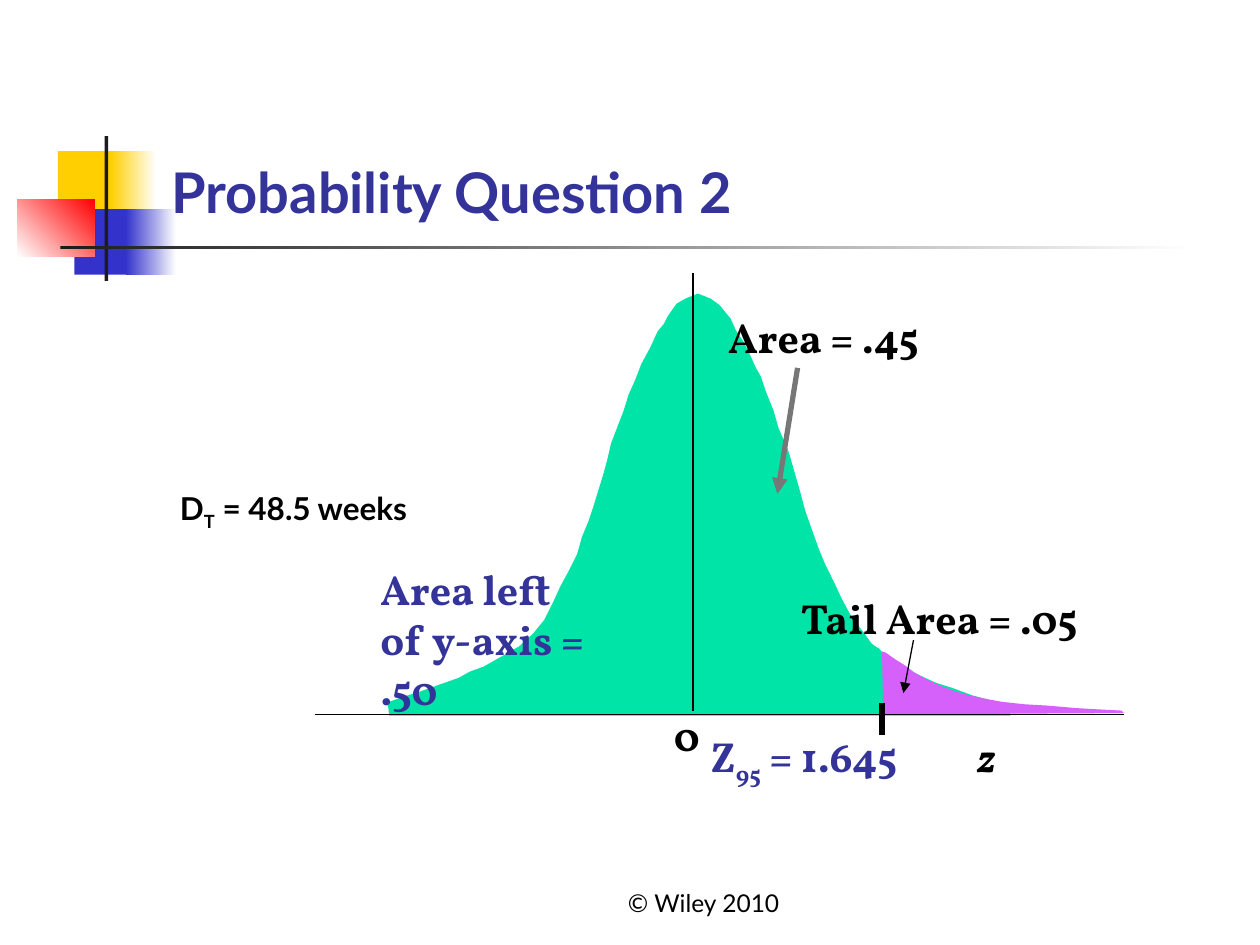
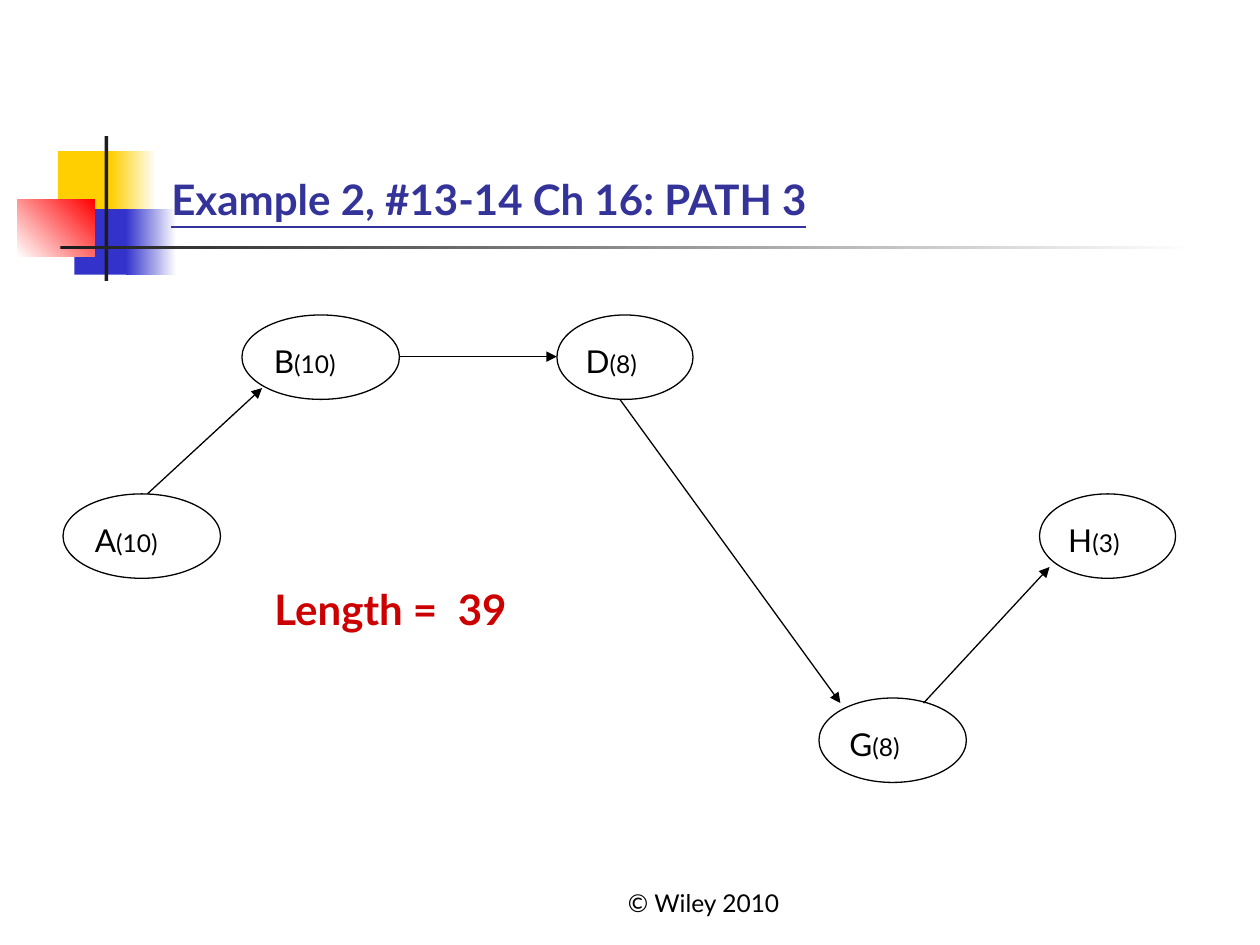
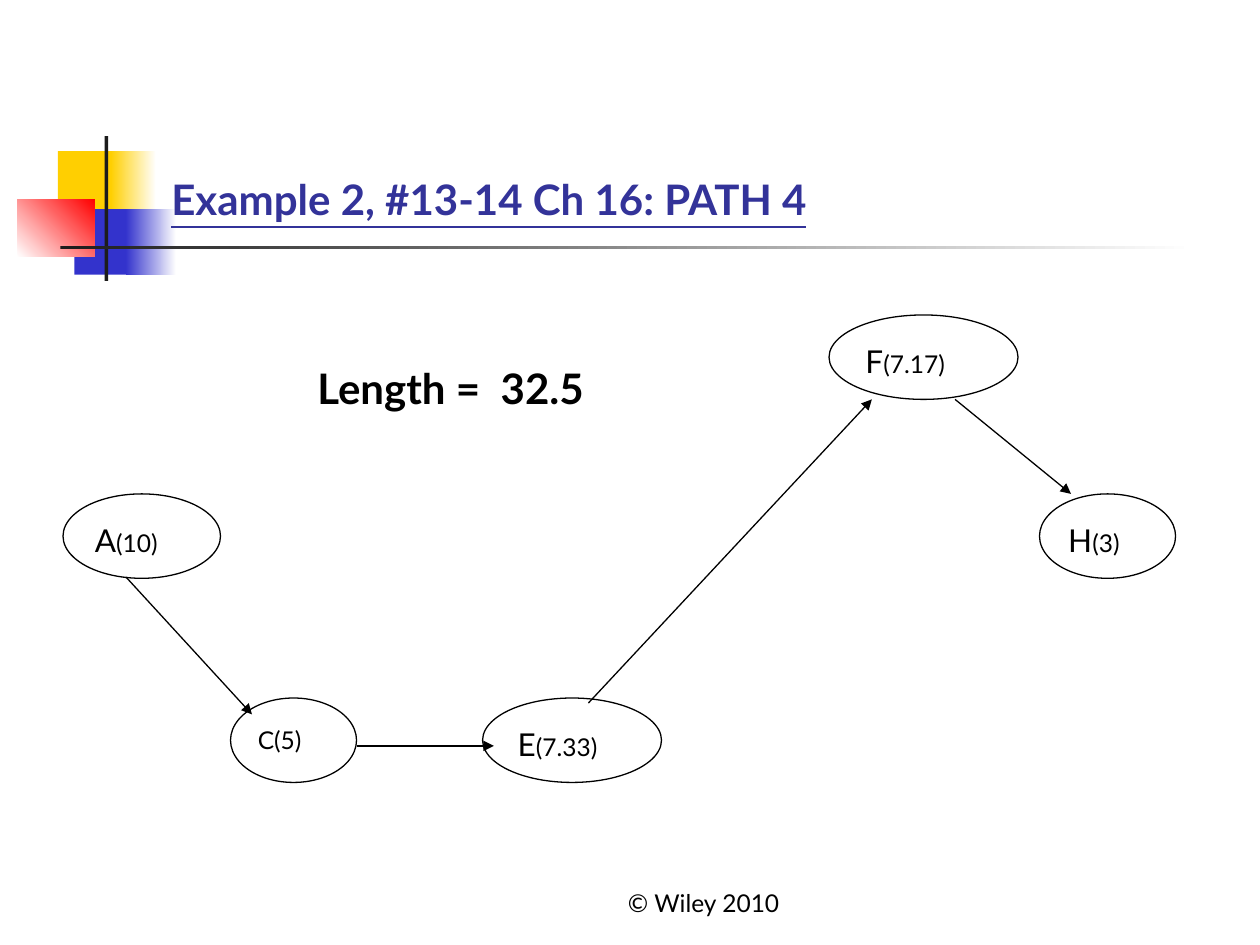
"""Build three slides: a normal curve question and two network paths."""
from dataclasses import dataclass
from typing import NamedTuple, Optional, Sequence, Union

from lxml.etree import SubElement
from pptx import Presentation
from pptx.dml.color import RGBColor
from pptx.enum.shapes import MSO_CONNECTOR, MSO_SHAPE
from pptx.enum.text import MSO_ANCHOR, MSO_AUTO_SIZE, PP_ALIGN
from pptx.oxml.ns import qn
from pptx.slide import Slide, SlideLayout
from pptx.util import Inches, Pt

SANS, SERIF = "Lato", "Vollkorn"
BLACK, WHITE, CHARCOAL, GREY = "000000", "FFFFFF", "1C1C1C", "777777"
NAVY, BLUE, YELLOW, RED, DARK_RED = "333399", "3333CC", "FFCF01", "FF0000", "CC0000"
GREEN, VIOLET = "00E4A8", "D560FA"
TOP_ROW, MIDDLE_ROW, BOTTOM_ROW = 2.5, 3.92, 5.54
NODE_HEIGHT = 0.67


class Point(NamedTuple):
    """A place on the slide in inches."""
    x: float
    y: float


class Box(NamedTuple):
    """A frame on the slide in inches."""
    left: float
    top: float
    width: float
    height: float


class Span(NamedTuple):
    """A stretch of text with its own size or baseline."""
    text: str
    size: Optional[float] = None
    subscript: bool = False


class Band(NamedTuple):
    """A decoration block with one colour or a gradient."""
    box: Box
    color: str
    end_color: Optional[str] = None
    angle: float = 0


class Line(NamedTuple):
    """A straight line, with an arrowhead at its end if wanted."""
    start: Point
    end: Point
    color: str = BLACK
    width: float = 0.75
    arrow: bool = False


class Node(NamedTuple):
    """An activity of the network."""
    name: str
    duration: str
    left: float
    top: float
    width: float
    name_size: float = 18


class CurveLabel(NamedTuple):
    """A label of the curve diagram."""
    box: Box
    text: Union[str, Sequence[Span]]
    color: str = BLACK
    italic: bool = False
    align: PP_ALIGN = PP_ALIGN.LEFT


@dataclass(frozen=True)
class NetworkPath:
    """One path slide: its nodes, arrows and total length."""
    title: str
    nodes: Sequence[Node]
    arrows: Sequence[tuple[Point, Point]]
    length: str
    length_at: Point
    length_color: str


BANDS = (
    Band(Box(0.46, 1.2, 0.48, 0.52), YELLOW),
    Band(Box(0.88, 1.2, 0.36, 0.52), YELLOW, WHITE),
    Band(Box(0.59, 1.66, 0.46, 0.52), BLUE),
    Band(Box(1, 1.66, 0.4, 0.52), BLUE, WHITE),
    Band(Box(0.14, 1.58, 0.61, 0.46), WHITE, RED, 45),
    Band(Box(0.83, 1.08, 0.03, 1.15), CHARCOAL),
    Band(Box(0.48, 1.95, 9, 0.03), CHARCOAL, WHITE),
)

BELL_OUTLINE = (
    (5.54, 2.33), (5.44, 2.37), (5.37, 2.41), (5.3, 2.51), (5.27, 2.57), (5.22, 2.63),
    (5.16, 2.76), (5.09, 2.89), (5.04, 3.02), (4.99, 3.13), (4.95, 3.26), (4.9, 3.39),
    (4.85, 3.52), (4.82, 3.65), (4.79, 3.76), (4.75, 3.89), (4.71, 4.02), (4.67, 4.14),
    (4.62, 4.26), (4.58, 4.4), (4.51, 4.54), (4.45, 4.65), (4.39, 4.78), (4.32, 4.92),
    (4.23, 5.03), (4.12, 5.13), (4, 5.2), (3.84, 5.29), (3.73, 5.33), (3.64, 5.38),
    (3.47, 5.44), (3.33, 5.49), (3.2, 5.53), (3.09, 5.57), (3.08, 5.6), (3.09, 5.68),
    (8.02, 5.68), (8.01, 5.59), (7.87, 5.56), (7.72, 5.52), (7.56, 5.46), (7.43, 5.42),
    (7.3, 5.36), (7.16, 5.29), (7.09, 5.23), (7.02, 5.2), (6.98, 5.15), (6.92, 5.11),
    (6.84, 5), (6.75, 4.88), (6.68, 4.75), (6.62, 4.62), (6.55, 4.48), (6.5, 4.36),
    (6.45, 4.22), (6.39, 4.05), (6.35, 3.9), (6.31, 3.76), (6.27, 3.62), (6.25, 3.56),
    (6.18, 3.4), (6.14, 3.26), (6.08, 3.11), (6.04, 2.99), (6, 2.92), (5.95, 2.81),
    (5.9, 2.71), (5.84, 2.62), (5.8, 2.53), (5.71, 2.42), (5.64, 2.37), (5.59, 2.35),
)
TAIL_OUTLINE = (
    (7, 5.17), (7.03, 5.18), (7.1, 5.23), (7.18, 5.28), (7.26, 5.34), (7.37, 5.4),
    (7.48, 5.45), (7.59, 5.49), (7.7, 5.52), (7.84, 5.55), (7.95, 5.57), (8.13, 5.59),
    (8.31, 5.6), (8.54, 5.62), (8.71, 5.63), (8.9, 5.64), (8.92, 5.66), (7.01, 5.67),
)
CURVE_LINES = (
    Line(Point(2.5, 5.67), Point(8.92, 5.67), width=1),
    Line(Point(5.5, 2.17), Point(5.5, 5.64), width=1),
    Line(Point(6.33, 2.92), Point(6.17, 3.92), GREY, 3, True),
    Line(Point(7.25, 5.08), Point(7.17, 5.5), arrow=True),
    Line(Point(7, 5.58), Point(7, 5.83), width=3),
)
CURVE_LABELS = (
    CurveLabel(Box(5.54, 5.75, 1.84, 0.55),
               (Span("Z"), Span("95", subscript=True), Span(" = 1.645")), NAVY),
    CurveLabel(Box(7.66, 5.75, 0.5, 0.5), "z", italic=True),
    CurveLabel(Box(5.25, 5.58, 0.4, 0.5), "0"),
    CurveLabel(Box(6.07, 4.65, 2.58, 0.5), "Tail Area = .05", align=PP_ALIGN.RIGHT),
    CurveLabel(Box(5.68, 2.42, 1.84, 0.5), "Area = .45"),
    CurveLabel(Box(2.92, 4.42, 1.83, 1.3), "Area left of y-axis = .50", NAVY),
)

START_NODE = Node("A", "(10)", 0.5, MIDDLE_ROW, 1.25)
END_NODE = Node("H", "(3)", 8.25, MIDDLE_ROW, 1.08)
NETWORK_PATHS = (
    NetworkPath(
        "Example 2, #13-14 Ch 16: PATH 3",
        (START_NODE, Node("B", "(10)", 1.92, TOP_ROW, 1.25),
         Node("D", "(8)", 4.42, TOP_ROW, 1.08),
         Node("G", "(8)", 6.5, BOTTOM_ROW, 1.17), END_NODE),
        ((Point(1.17, 3.92), Point(2.08, 3.08)), (Point(3.17, 2.83), Point(4.42, 2.83)),
         (Point(4.92, 3.17), Point(6.67, 5.58)), (Point(7.33, 5.58), Point(8.33, 4.5))),
        "Length =  39", Point(2.08, 4.58), DARK_RED),
    NetworkPath(
        "Example 2, #13-14 Ch 16: PATH 4",
        (START_NODE, Node("C", "(5)", 1.83, BOTTOM_ROW, 1, 14),
         Node("E", "(7.33)", 3.83, BOTTOM_ROW, 1.42),
         Node("F", "(7.17)", 6.58, TOP_ROW, 1.5), END_NODE),
        ((Point(1, 4.58), Point(2, 5.67)), (Point(2.83, 5.92), Point(3.92, 5.92)),
         (Point(4.67, 5.58), Point(6.92, 3.17)), (Point(7.58, 3.17), Point(8.5, 3.92))),
        "Length =  32.5", Point(2.42, 2.83), BLACK),
)


def rgb(color: str) -> RGBColor:
    """Turn a hex string into a colour."""
    return RGBColor.from_string(color)


def emu(lengths: Sequence[float]) -> list[Inches]:
    """Turn lengths in inches into slide units."""
    return [Inches(length) for length in lengths]


def write_text(text_frame, text: Union[str, Sequence[Span]], *, size: float = 24,
               font: str = SANS, color: str = BLACK, bold: bool = False,
               italic: bool = False, underline: bool = False,
               align: PP_ALIGN = PP_ALIGN.LEFT,
               anchor: MSO_ANCHOR = MSO_ANCHOR.TOP) -> None:
    """Fill a text frame with one formatted paragraph."""
    text_frame.word_wrap = True
    text_frame.auto_size = MSO_AUTO_SIZE.NONE
    text_frame.vertical_anchor = anchor
    paragraph = text_frame.paragraphs[0]
    paragraph.alignment = align
    for span in (Span(text),) if isinstance(text, str) else text:
        run = paragraph.add_run()
        run.text = span.text
        run.font.name = font
        run.font.size = Pt(span.size or size)
        run.font.color.rgb = rgb(color)
        run.font.bold = bold
        run.font.italic = italic
        run.font.underline = underline
        if span.subscript:
            run._r.get_or_add_rPr().set("baseline", "-25000")


def add_text(slide: Slide, box: Box, text: Union[str, Sequence[Span]], **style) -> None:
    """Add a text box with formatted text."""
    write_text(slide.shapes.add_textbox(*emu(box)).text_frame, text, **style)


def add_band(slide: Slide, band: Band):
    """Add a decoration block and return it."""
    shape = slide.shapes.add_shape(MSO_SHAPE.RECTANGLE, *emu(band.box))
    shape.shadow.inherit = False
    shape.line.fill.background()
    if band.end_color is None:
        shape.fill.solid()
        shape.fill.fore_color.rgb = rgb(band.color)
    else:
        shape.fill.gradient()
        shape.fill.gradient_angle = band.angle
        for stop, color, position in zip(
                shape.fill.gradient_stops, (band.color, band.end_color), (0, 1)):
            stop.color.rgb = rgb(color)
            stop.position = position
    return shape


def decorate_layout(layout: SlideLayout, slide: Slide) -> None:
    """Draw the shared decoration and move it behind the layout's placeholders."""
    tree = layout.shapes.element
    for index, band in enumerate(BANDS):
        element = add_band(slide, band).element
        element.nvSpPr.cNvPr.set("id", str(100 + index))
        tree.insert(2 + index, element)


def add_line(slide: Slide, line: Line) -> None:
    """Add a straight connector."""
    connector = slide.shapes.add_connector(
        MSO_CONNECTOR.STRAIGHT, *emu(line.start), *emu(line.end))
    connector.line.color.rgb = rgb(line.color)
    connector.line.width = Pt(line.width)
    if line.arrow:
        SubElement(connector.get_or_add_ln(), qn("a:tailEnd"), type="triangle")
    SubElement(connector.element.spPr, qn("a:effectLst"))


def add_area(slide: Slide, outline: Sequence[tuple[float, float]], color: str) -> None:
    """Add a filled outline."""
    start, *rest = [tuple(emu(point)) for point in outline]
    builder = slide.shapes.build_freeform(*start)
    builder.add_line_segments(rest)
    shape = builder.convert_to_shape()
    shape.shadow.inherit = False
    shape.fill.solid()
    shape.fill.fore_color.rgb = rgb(color)
    shape.line.fill.background()


def add_node(slide: Slide, node: Node) -> None:
    """Add a labelled ellipse for an activity."""
    shape = slide.shapes.add_shape(
        MSO_SHAPE.OVAL, *emu((node.left, node.top, node.width, NODE_HEIGHT)))
    shape.shadow.inherit = False
    shape.fill.background()
    shape.line.color.rgb = rgb(BLACK)
    shape.line.width = Pt(0.75)
    frame = shape.text_frame
    frame.margin_left, frame.margin_top = Inches(0.07), Inches(0.12)
    frame.margin_right = frame.margin_bottom = 0
    write_text(frame, (Span(node.name, node.name_size), Span(node.duration, 14)))


def add_titled_slide(presentation, layout: SlideLayout, title: str, **style) -> Slide:
    """Add a slide with its title and footer."""
    slide = presentation.slides.add_slide(layout)
    placeholder = slide.shapes.title
    placeholder.left, placeholder.top, placeholder.width, placeholder.height = emu(
        (1.26, 0.23, 8.52, 1.6))
    write_text(placeholder.text_frame, title, color=NAVY, bold=True,
               anchor=MSO_ANCHOR.BOTTOM, **style)
    add_text(slide, Box(4, 6.83, 3.17, 0.5), "© Wiley 2010", size=14,
             align=PP_ALIGN.CENTER, anchor=MSO_ANCHOR.BOTTOM)
    return slide


def draw_curve(slide: Slide) -> None:
    """Draw the normal curve with its areas and labels."""
    add_area(slide, BELL_OUTLINE, GREEN)
    add_area(slide, TAIL_OUTLINE, VIOLET)
    for line in CURVE_LINES:
        add_line(slide, line)
    for label in CURVE_LABELS:
        add_text(slide, label.box, label.text, font=SERIF, color=label.color,
                 bold=True, italic=label.italic, align=label.align)
    add_text(slide, Box(1.33, 3.83, 2.92, 0.44),
             (Span("D"), Span("T", subscript=True), Span(" = 48.5 weeks")),
             size=18, bold=True)


def draw_network(slide: Slide, path: NetworkPath) -> None:
    """Draw the nodes, arrows and length of a path."""
    for node in path.nodes:
        add_node(slide, node)
    for start, end in path.arrows:
        add_line(slide, Line(start, end, arrow=True))
    add_text(slide, Box(*path.length_at, 3.08, 0.5), path.length,
             color=path.length_color, bold=True)


def main() -> None:
    """Build and save the presentation."""
    presentation = Presentation()
    presentation.slide_width, presentation.slide_height = emu((10, 7.5))
    layout = presentation.slide_layouts.get_by_name("Title Only")
    slide = add_titled_slide(presentation, layout, "Probability Question 2", size=32)
    decorate_layout(layout, slide)
    draw_curve(slide)
    for path in NETWORK_PATHS:
        draw_network(add_titled_slide(presentation, layout, path.title, underline=True), path)
    presentation.save("out.pptx")


if __name__ == "__main__":
    main()
